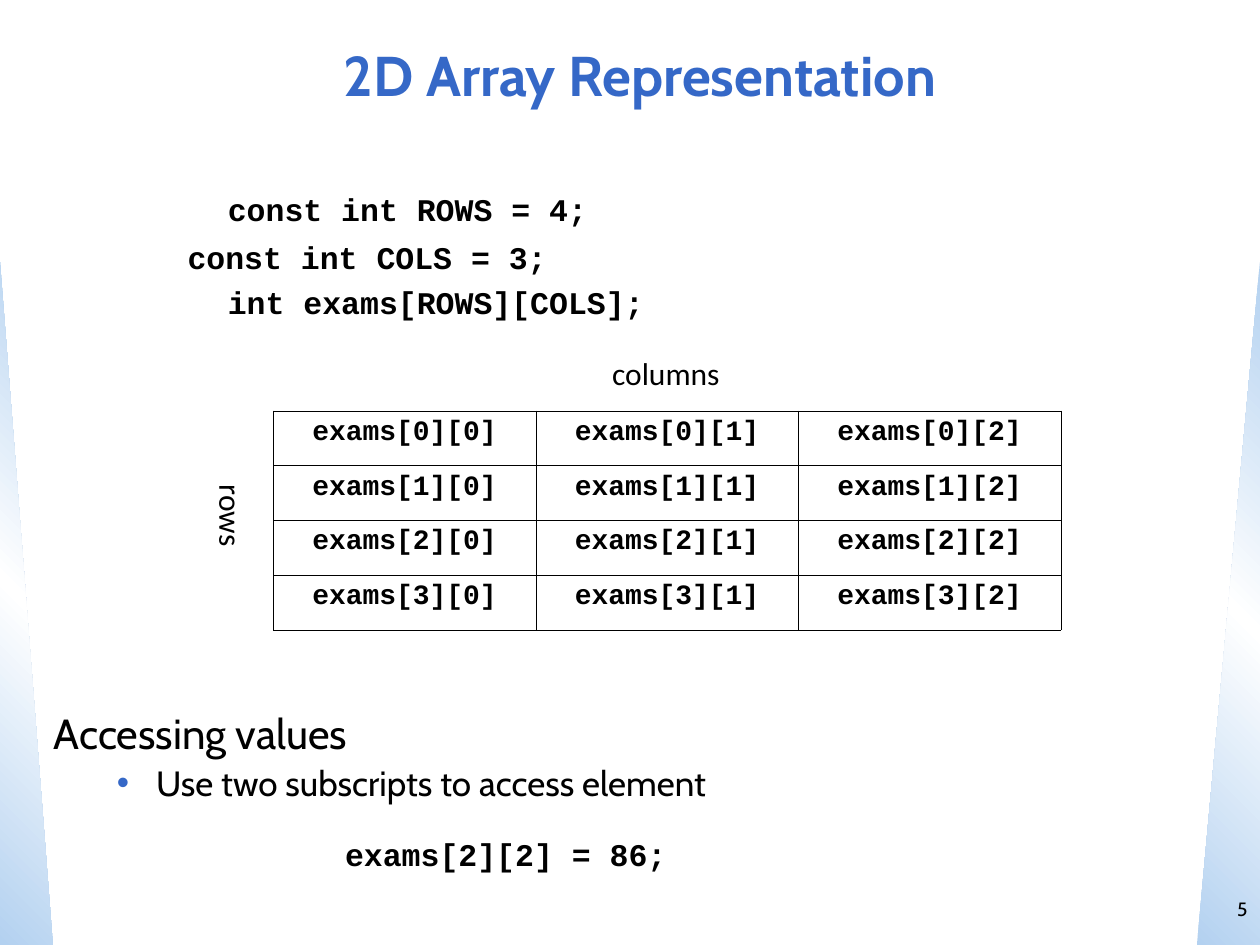
from lxml import etree
from pptx import Presentation
from pptx.dml.color import RGBColor
from pptx.enum.shapes import MSO_SHAPE
from pptx.enum.text import MSO_ANCHOR, PP_ALIGN
from pptx.oxml.ns import qn
from pptx.util import Inches, Pt

TRIANGLE = MSO_SHAPE.RIGHT_TRIANGLE
LEFT, CENTER, RIGHT = PP_ALIGN.LEFT, PP_ALIGN.CENTER, PP_ALIGN.RIGHT
TOP, MIDDLE = MSO_ANCHOR.TOP, MSO_ANCHOR.MIDDLE

COLORS = {"title": "3568C7", "text": "000000", "edge": "B3D1F0", "glow": "FFFFFF"}
HEADING, LABEL, CODE = "Cabin", "Calibri", "Courier New"

TITLE = "2D Array Representation"
ROWS, COLS = 4, 3
TABLE_AREA = (2.17, 3.26, 6.25, 1.74)
BORDER = 0.11

# text, font, size, bold, left indent, space before, bulleted
DECLARATIONS = [
    ("const int ROWS = 4;", CODE, 18, True, 1.38, 0, False),
    ("const int COLS = 3;", CODE, 18, True, 1.06, 6, False),
    ("int exams[ROWS][COLS];", CODE, 18, True, 1.38, 3.6, False),
]
ACCESS = [
    ("Accessing values", HEADING, 24, False, 0, 0, False),
    ("Use two subscripts to access element", HEADING, 20, False, 0.81, 2, True),
    ("exams[2][2] = 86;", CODE, 18, True, 2.31, 18, False),
]

# left, width, gradient angle, mirrored
SIDE_WEDGES = [(0, 0.42, 315, False), (9.5, 0.5, 45, True)]
WEDGE_TOP, WEDGE_HEIGHT = 2.08, 5.42


def style(para, font, size, bold=False, color="text", align=LEFT):
    para.alignment = align
    para.font.name = font
    for span in para.runs:
        span.font.name = font
        span.font.size = Pt(size)
        span.font.bold = bold
        span.font.color.rgb = RGBColor.from_string(COLORS[color])


def add_wedge(page, left, width, angle, mirrored):
    wedge = page.shapes.add_shape(
        TRIANGLE, *map(Inches, (left, WEDGE_TOP, width, WEDGE_HEIGHT)))
    wedge.shadow.inherit = False
    wedge.line.fill.background()
    wedge.fill.gradient()
    gradient = wedge.element.spPr.find(qn("a:gradFill"))
    stops = gradient.find(qn("a:gsLst"))
    for stop in list(stops):
        stops.remove(stop)
    for percent, name in ((0, "edge"), (50, "glow"), (100, "edge")):
        stop = etree.SubElement(stops, qn("a:gs"), pos=str(percent * 1000))
        etree.SubElement(stop, qn("a:srgbClr"), val=COLORS[name])
    gradient.find(qn("a:lin")).set("ang", str(angle * 60000))
    if mirrored:
        wedge.element.spPr.find(qn("a:xfrm")).set("flipH", "1")


def add_box(page, area, wrap=True, anchor=TOP):
    box = page.shapes.add_textbox(*map(Inches, area))
    box.text_frame.word_wrap = wrap
    box.text_frame.vertical_anchor = anchor
    return box


def add_label(page, text, area, font, size, align=LEFT, anchor=TOP):
    box = add_box(page, area, wrap=False, anchor=anchor)
    box.text_frame.text = text
    style(box.text_frame.paragraphs[0], font, size, align=align)
    return box


def add_bullet(para):
    properties = para._p.get_or_add_pPr()
    color = etree.SubElement(properties, qn("a:buClr"))
    etree.SubElement(color, qn("a:srgbClr"), val=COLORS["title"])
    etree.SubElement(properties, qn("a:buFont"), typeface="Arial")
    etree.SubElement(properties, qn("a:buChar"), char="•")


def add_paragraphs(page, area, lines):
    frame = add_box(page, area).text_frame
    for index, (text, font, size, bold, indent, before, bulleted) in enumerate(lines):
        para = frame.add_paragraph() if index else frame.paragraphs[0]
        para.text = text
        para.space_before = Pt(before)
        properties = para._p.get_or_add_pPr()
        properties.set("marL", str(Inches(indent)))
        if bulleted:
            properties.set("indent", str(Inches(-0.31)))
            add_bullet(para)
        style(para, font, size, bold)


def add_borders(cell):
    properties = cell._tc.get_or_add_tcPr()
    for index, side in enumerate(("lnL", "lnR", "lnT", "lnB")):
        line = etree.Element(qn("a:" + side), w=str(Pt(BORDER)))
        fill = etree.SubElement(line, qn("a:solidFill"))
        etree.SubElement(fill, qn("a:srgbClr"), val=COLORS["text"])
        properties.insert(index, line)


def add_array_table(page):
    table = page.shapes.add_table(ROWS, COLS, *map(Inches, TABLE_AREA)).table
    table.first_row = table.horz_banding = False
    for row in range(ROWS):
        for col in range(COLS):
            cell = table.cell(row, col)
            cell.text = f"exams[{row}][{col}]"
            cell.fill.background()
            add_borders(cell)
            para = cell.text_frame.paragraphs[0]
            para.line_spacing = 0.92
            style(para, CODE, 16, True, align=CENTER)


def main():
    deck = Presentation()
    deck.slide_width, deck.slide_height = Inches(10), Inches(7.5)
    page = deck.slides.add_slide(deck.slide_layouts[5])

    for wedge in SIDE_WEDGES:
        add_wedge(page, *wedge)

    title = page.shapes.title
    title.left, title.top, title.width, title.height = map(
        Inches, (0.83, 0.17, 8.5, 0.83))
    title.text_frame.text = TITLE
    title.text_frame.vertical_anchor = MIDDLE
    style(title.text_frame.paragraphs[0], HEADING, 32, True, "title", CENTER)

    add_paragraphs(page, (0.33, 1.46, 9.42, 1.2), DECLARATIONS)
    add_array_table(page)
    add_label(page, "columns", (4.76, 2.76, 1.05, 0.4), LABEL, 18)
    rows_label = add_label(page, "rows", (1.6, 3.75, 0.44, 0.6), LABEL, 18, CENTER)
    rows_label.text_frame._txBody.bodyPr.set("vert", "eaVert")
    add_paragraphs(page, (0.33, 5.57, 9.42, 1.5), ACCESS)
    add_label(page, "5", (9.5, 6.92, 0.5, 0.58), HEADING, 11, RIGHT, MIDDLE)

    deck.save("out.pptx")


if __name__ == "__main__":
    main()
